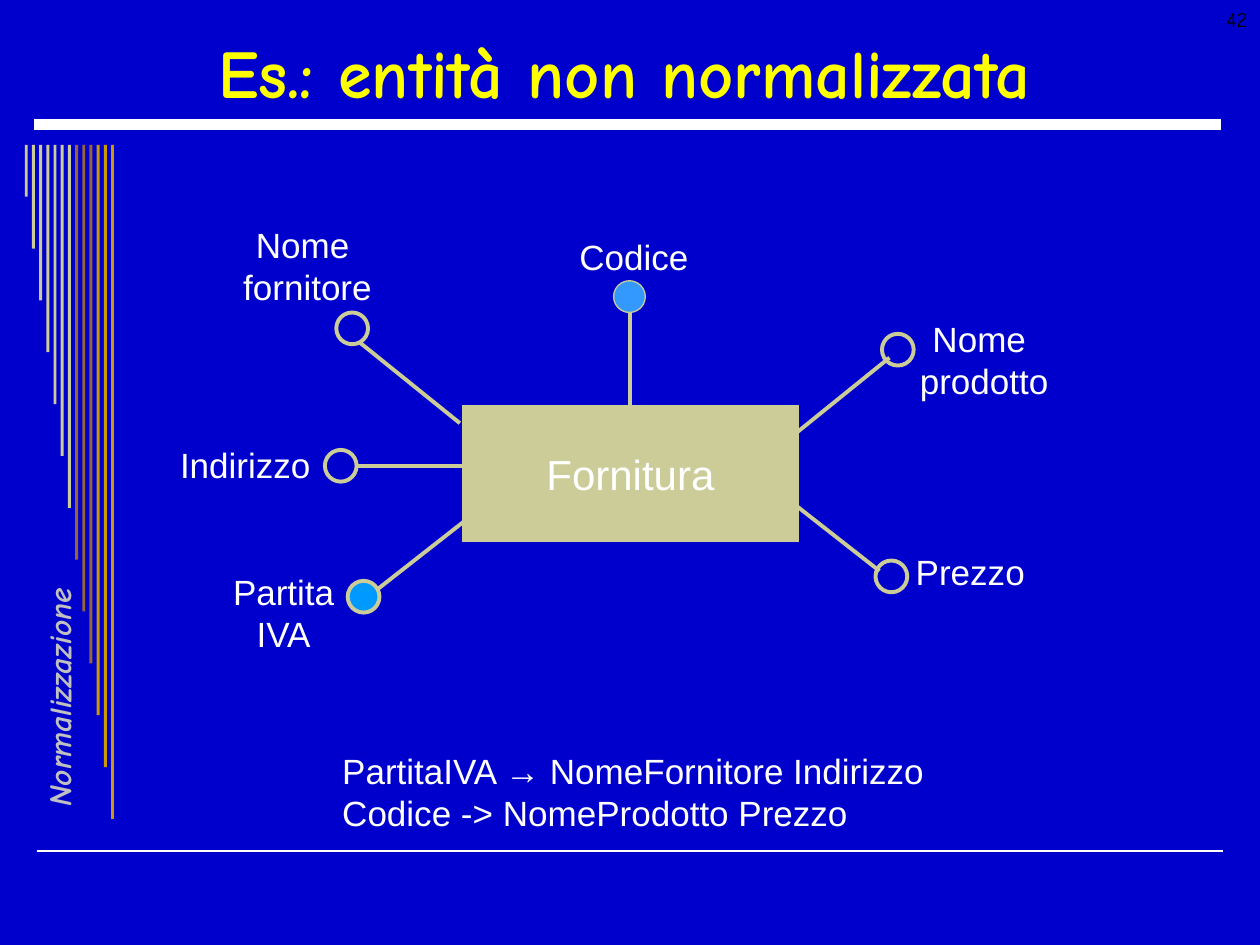
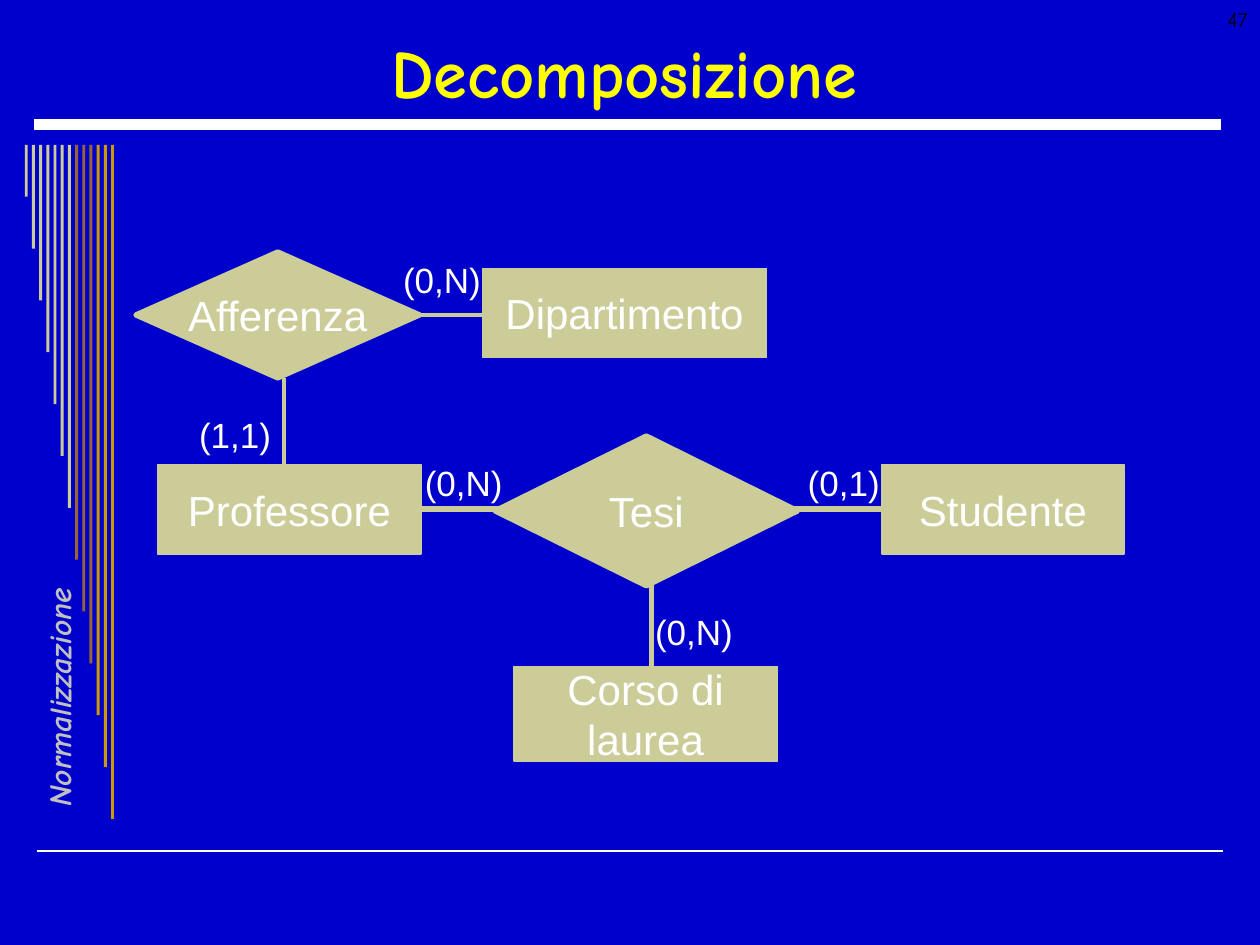
from lxml import etree
from pptx import Presentation
from pptx.dml.color import RGBColor
from pptx.enum.shapes import MSO_CONNECTOR, MSO_SHAPE
from pptx.enum.text import MSO_ANCHOR, MSO_AUTO_SIZE, PP_ALIGN
from pptx.oxml.ns import qn
from pptx.util import Cm, Pt

# Shared look
BLUE = RGBColor(0x00, 0x00, 0xCC)
WHITE = RGBColor(0xFF, 0xFF, 0xFF)
BLACK = RGBColor(0x00, 0x00, 0x00)
YELLOW = RGBColor(0xFF, 0xFF, 0x00)
SILVER = RGBColor(0xC0, 0xC0, 0xC0)
KHAKI = RGBColor(0xCC, 0xCC, 0x99)
BROWN = RGBColor(0x99, 0x66, 0x33)
GOLD = RGBColor(0xCC, 0x99, 0x00)
CODE_KEY = RGBColor(0x33, 0x99, 0xFF)
VAT_KEY = RGBColor(0x00, 0x99, 0xFF)
BODY_FONT, DISPLAY_FONT = "Arial", "Comic Neue"
LEFT, CENTER, RIGHT = PP_ALIGN.LEFT, PP_ALIGN.CENTER, PP_ALIGN.RIGHT

# Content: all lengths in cm; boxes are (left, top, width, height)
CHAPTER = "Normalizzazione"
CHAPTER_BOX = (-1.91, 13.31, 5.79, 0.61)
TITLE_BOX = (0.89, 0.53, 23.39, 1.8)
NUMBER_BOX = (19.48, 0, 5.92, 1.27)
RULES = [((0.74, 17.15), (24.66, 17.15), 1), ((0.69, 2.51), (24.61, 2.51), 6)]
STRIPE_COLOURS = [KHAKI] * 7 + [BROWN] * 3 + [GOLD] * 3
STRIPE_LEFT, STRIPE_TOP, STRIPE_PITCH, STRIPE_WIDTH = 0.5, 2.92, 0.14, 0.06
LONGEST_STRIPE = 13.59

SUPPLY = {
    "title": "Es.: entità non normalizzata",
    "number": "42",
    "entity": ("Fornitura", (9.32, 8.18, 6.78, 2.74)),
    # label lines, alignment, label box, circle corner, key colour, line ends
    "attributes": [
        (["Nome ", "prodotto"], CENTER, (18.29, 6.27, 3.1, 1.96),
         (17.78, 6.73), None, ((15.95, 8.81), (17.93, 7.21))),
        (["Prezzo"], LEFT, (18.21, 10.97, 2.69, 1.12),
         (17.65, 11.3), None, ((15.88, 10.06), (17.73, 11.51))),
        (["Nome ", "fornitore"], CENTER, (4.65, 4.39, 3.1, 1.96),
         (6.78, 6.3), None, ((9.27, 8.53), (7.26, 6.91))),
        (["Indirizzo"], LEFT, (3.38, 8.81, 3.12, 1.12),
         (6.55, 9.07), None, ((9.32, 9.4), (7.19, 9.4))),
        (["Partita", "IVA"], CENTER, (4.45, 11.38, 2.54, 1.96),
         (7.01, 11.71), VAT_KEY, ((9.42, 10.46), (7.57, 11.91))),
        (["Codice"], LEFT, (11.43, 4.62, 2.69, 1.12),
         (12.37, 5.66), CODE_KEY, ((12.7, 8.18), (12.7, 6.27))),
    ],
    "dependencies": ["PartitaIVA → NomeFornitore Indirizzo",
                     "Codice -> NomeProdotto Prezzo"],
    "dependencies_box": (6.65, 14.99, 12.5, 1.96),
}
CIRCLE = 0.64

THESIS = {
    "title": "Decomposizione",
    "number": "47",
    "relations": [
        (["Afferenza"], (2.74, 5.08, 5.72, 2.54)),
        (["Tesi"], (9.98, 8.79, 6.1, 3.02)),
    ],
    "entities": [
        (["Dipartimento"], (9.73, 5.41, 5.72, 1.8)),
        (["Professore"], (3.18, 9.37, 5.31, 1.8)),
        (["Studente"], (17.78, 9.37, 4.88, 1.8)),
        (["Corso di", "laurea"], (10.36, 13.44, 5.31, 1.9)),
    ],
    "links": [
        ((5.72, 7.62), (5.72, 9.53), 2),
        ((8.46, 6.35), (9.73, 6.35), 2),
        ((8.46, 10.26), (18.03, 10.26), 3),
        ((13.13, 11), (13.13, 13.44), 3),
    ],
    "cardinalities": [
        ("(1,1)", (3.76, 8.2, 1.96, 1.12)),
        ("(0,N)", (7.87, 5.08, 2.08, 1.12)),
        ("(0,N)", (8.31, 9.17, 2.08, 1.12)),
        ("(0,1)", (16.03, 9.17, 1.96, 1.12)),
        ("(0,N)", (12.95, 12.17, 2.08, 1.12)),
    ],
}


def to_cm(lengths):
    return [Cm(length) for length in lengths]


def write(frame, lines, size, colour=WHITE, align=CENTER, font=BODY_FONT,
          bold=False, italic=False, wrap=False, anchor=MSO_ANCHOR.TOP):
    frame.word_wrap = wrap
    frame.auto_size = MSO_AUTO_SIZE.NONE
    frame.vertical_anchor = anchor
    for i, line in enumerate(lines):
        paragraph = frame.add_paragraph() if i else frame.paragraphs[0]
        paragraph.alignment = align
        run = paragraph.add_run()
        run.text = line
        run.font.name, run.font.size = font, Pt(size)
        run.font.bold, run.font.italic = bold, italic
        run.font.color.rgb = colour


def add_label(slide, lines, box, size=20, **style):
    label = slide.shapes.add_textbox(*to_cm(box))
    write(label.text_frame, lines, size, **style)
    return label


def add_line(slide, start, end, width, colour=KHAKI):
    line = slide.shapes.add_connector(MSO_CONNECTOR.STRAIGHT, *to_cm(start + end))
    line.line.color.rgb, line.line.width = colour, Pt(width)
    etree.SubElement(line._element.spPr, qn("a:effectLst"))
    return line


def add_figure(slide, preset, box, fill=KHAKI, line_width=0.75):
    figure = slide.shapes.add_shape(preset, *to_cm(box))
    figure.shadow.inherit = False
    if fill is None:
        figure.fill.background()
    else:
        figure.fill.solid()
        figure.fill.fore_color.rgb = fill
    if line_width:
        figure.line.color.rgb, figure.line.width = KHAKI, Pt(line_width)
    else:
        figure.line.fill.background()
    return figure


def add_node(slide, preset, lines, box, line_width=0.75):
    node = add_figure(slide, preset, box, line_width=line_width)
    write(node.text_frame, lines, 24, anchor=MSO_ANCHOR.MIDDLE)


def decorate(layout, slide):
    """Draw the shared parts on a slide, then hand them to its layout."""
    parts = [add_line(slide, *rule, WHITE) for rule in RULES]
    for i, colour in enumerate(STRIPE_COLOURS):
        height = LONGEST_STRIPE * (i + 1) / len(STRIPE_COLOURS)
        left = STRIPE_LEFT + i * (STRIPE_PITCH + 0.005)
        box = (left, STRIPE_TOP, STRIPE_WIDTH, height)
        parts.append(add_figure(slide, MSO_SHAPE.RECTANGLE, box, colour, 0))
    chapter = add_label(slide, [CHAPTER], CHAPTER_BOX, 18, colour=SILVER, align=LEFT,
                        font=DISPLAY_FONT, bold=True, italic=True)
    chapter.rotation = 270
    for shape_id, part in enumerate(parts + [chapter], start=20):
        part._element.xpath(".//p:cNvPr")[0].set("id", str(shape_id))
        layout.shapes._spTree.append(part._element)


def start_slide(deck, layout, content):
    slide = deck.slides.add_slide(layout)
    title = slide.shapes.title
    title.left, title.top, title.width, title.height = to_cm(TITLE_BOX)
    write(title.text_frame, [content["title"]], 39, YELLOW, font=DISPLAY_FONT,
          bold=True, wrap=True, anchor=MSO_ANCHOR.MIDDLE)
    add_label(slide, [content["number"]], NUMBER_BOX, 12, colour=BLACK,
              align=RIGHT, font=DISPLAY_FONT, wrap=True)
    return slide


def draw_supply(slide):
    name, box = SUPPLY["entity"]
    add_node(slide, MSO_SHAPE.RECTANGLE, [name], box)
    for lines, align, label_box, corner, key, ends in SUPPLY["attributes"]:
        add_line(slide, *ends, 2.25)
        add_figure(slide, MSO_SHAPE.OVAL, corner + (CIRCLE, CIRCLE), key,
                   0.75 if key == CODE_KEY else 2.25)
        add_label(slide, lines, label_box, align=align)
    add_label(slide, SUPPLY["dependencies"], SUPPLY["dependencies_box"], align=LEFT)


def draw_thesis(slide):
    for link in THESIS["links"]:
        add_line(slide, *link)
    for lines, box in THESIS["relations"]:
        add_node(slide, MSO_SHAPE.DIAMOND, lines, box, 3)
    for lines, box in THESIS["entities"]:
        add_node(slide, MSO_SHAPE.RECTANGLE, lines, box)
    for cardinality, box in THESIS["cardinalities"]:
        add_label(slide, [cardinality], box, anchor=MSO_ANCHOR.MIDDLE)


def main():
    deck = Presentation()
    deck.slide_width, deck.slide_height = Cm(25.4), Cm(19.05)
    layout = deck.slide_layouts.get_by_name("Title Only")
    layout.background.fill.solid()
    layout.background.fill.fore_color.rgb = BLUE

    supply_slide = start_slide(deck, layout, SUPPLY)
    decorate(layout, supply_slide)
    draw_supply(supply_slide)
    draw_thesis(start_slide(deck, layout, THESIS))
    deck.save("out.pptx")


if __name__ == "__main__":
    main()
